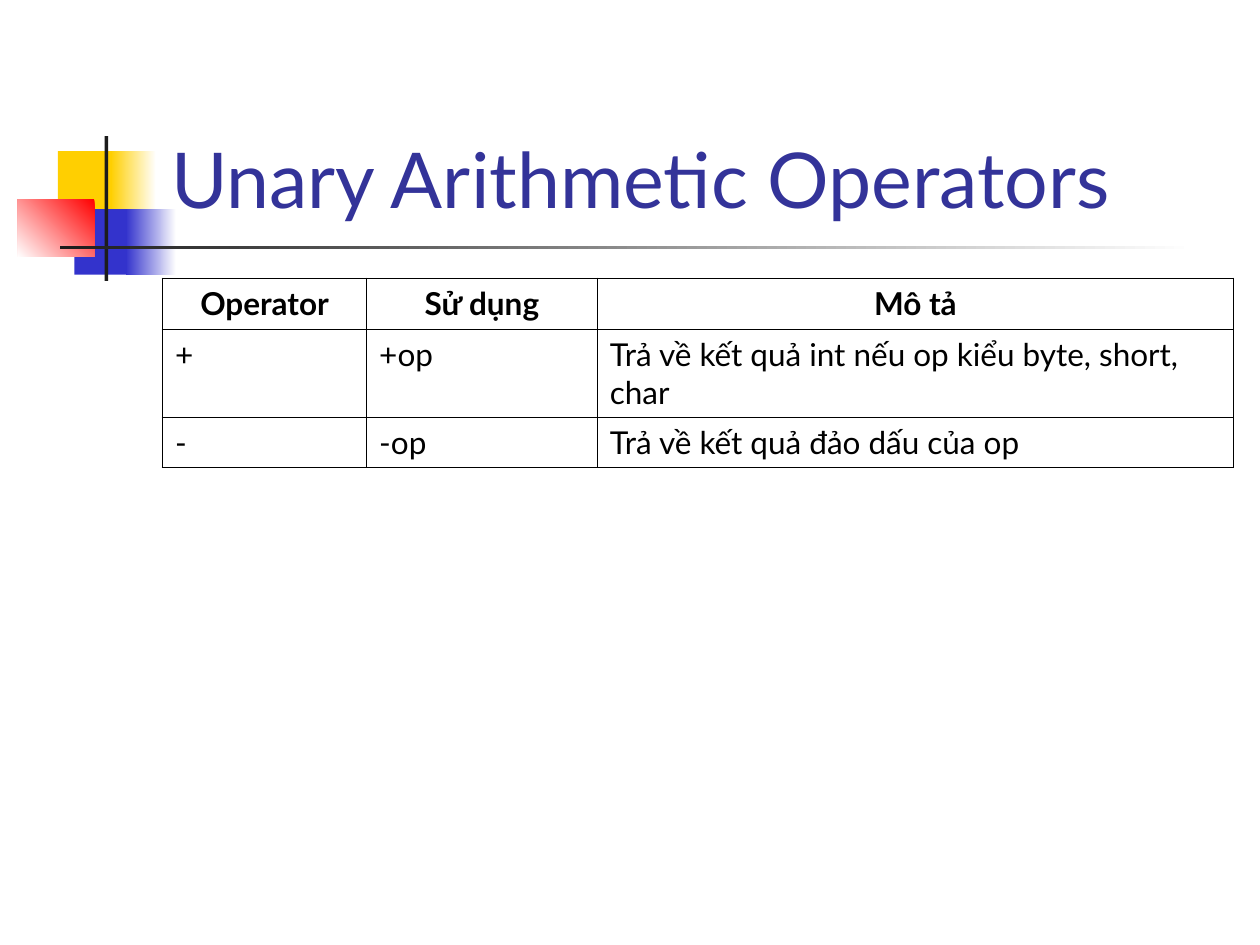
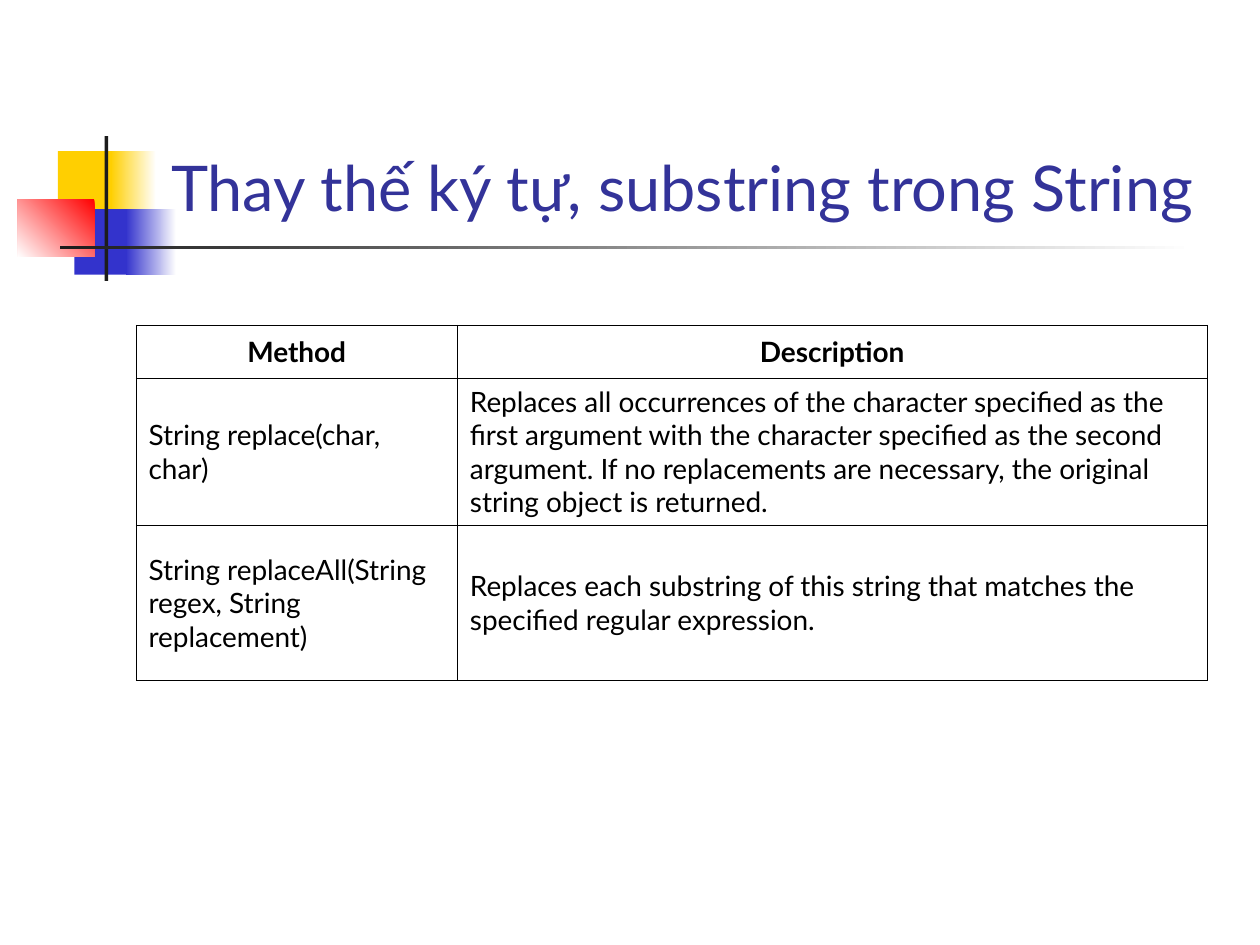
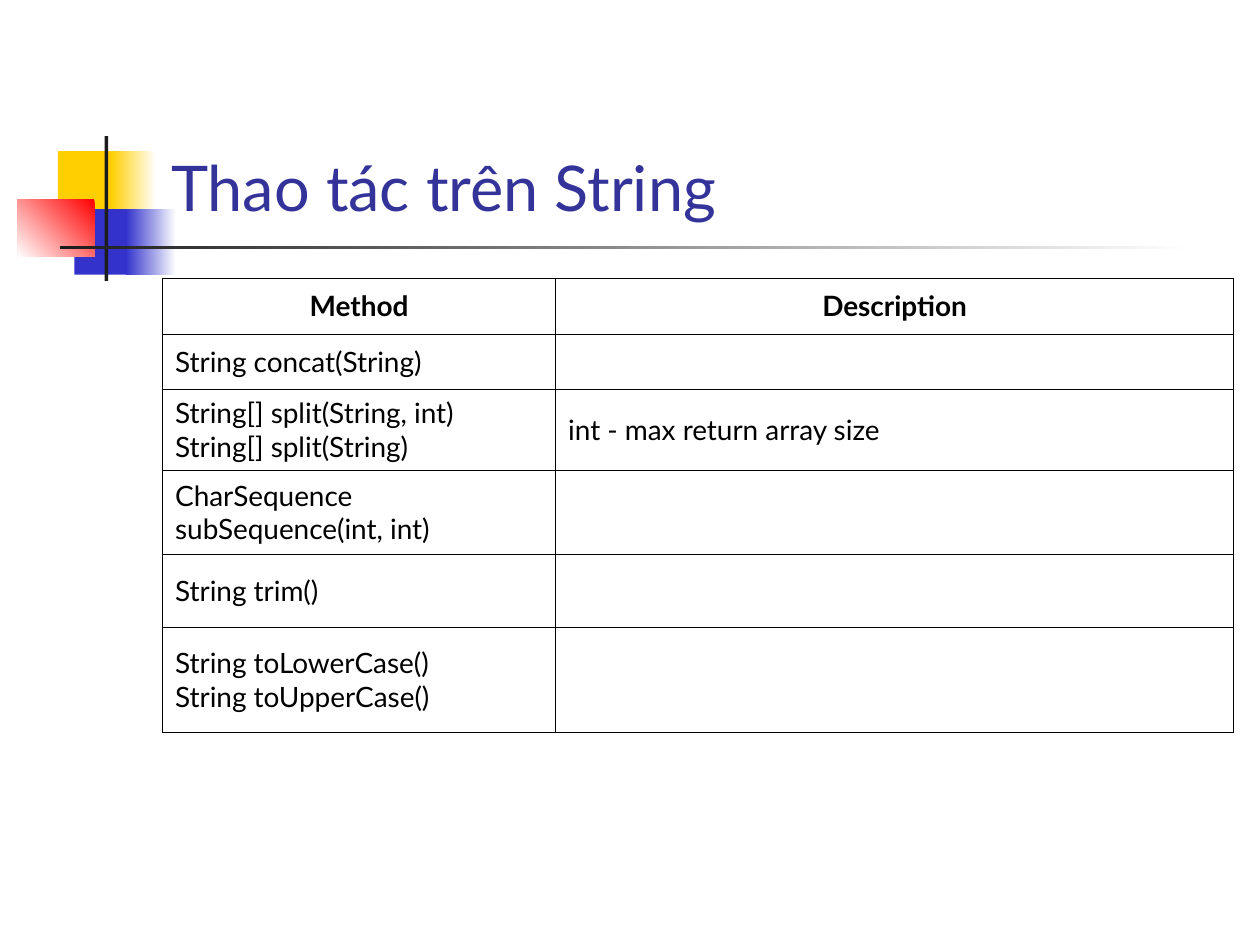
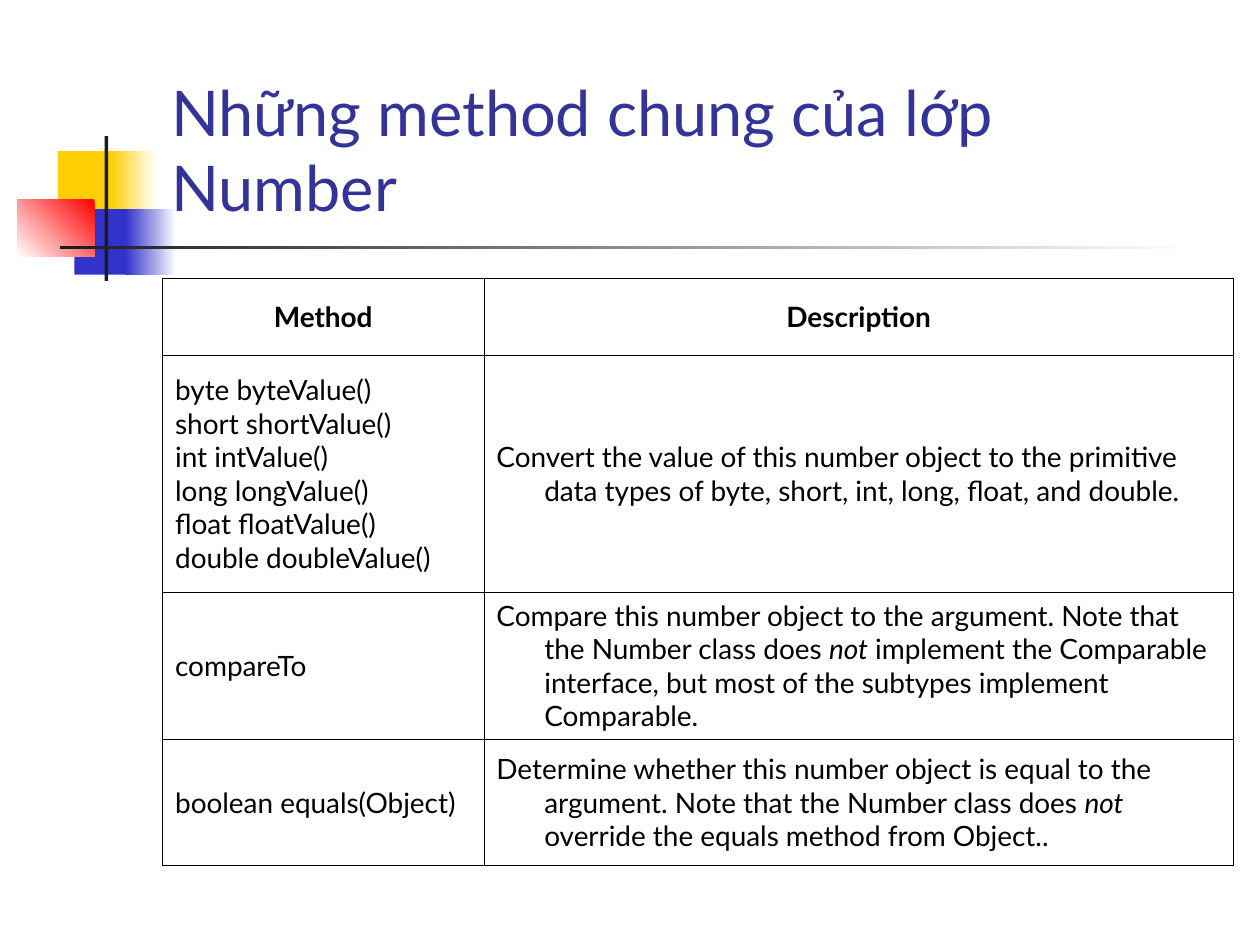
"""Build four slides of Java operator and method tables."""
from dataclasses import dataclass

from lxml.etree import SubElement
from pptx import Presentation
from pptx.dml.color import RGBColor
from pptx.enum.shapes import MSO_SHAPE
from pptx.enum.text import MSO_ANCHOR, PP_ALIGN
from pptx.oxml.ns import qn
from pptx.util import Inches, Pt


@dataclass(frozen=True)
class Theme:
    font: str = "Lato"
    title: str = "333399"
    text: str = "000000"
    white: str = "FFFFFF"
    yellow: str = "FFCF01"
    blue: str = "3333CC"
    red: str = "FF0000"
    dark: str = "1C1C1C"
    title_size: int = 36
    title_large: int = 44
    cell_size: int = 16
    cell_large: int = 18
    thin: float = 0.34
    medium: float = 0.45
    thick: float = 1.08


T = Theme()
TITLE_BOX = (1.26, 0.23, 8.52, 1.6)
HANGING = 0.38

BAND = [
    ((0.46, 1.2, 0.48, 0.52), (T.yellow,), 0),
    ((0.88, 1.2, 0.36, 0.52), (T.white, T.yellow), 180),
    ((0.59, 1.66, 0.46, 0.52), (T.blue,), 0),
    ((1, 1.66, 0.4, 0.52), (T.white, T.blue), 180),
    ((0.14, 1.58, 0.61, 0.46), (T.red, T.white), 225),
    ((0.83, 1.08, 0.03, 1.15), (T.dark,), 0),
    ((0.48, 1.95, 9, 0.03), (T.white, T.dark), 180),
]

SLIDES = [
    dict(
        title="Unary Arithmetic Operators", title_size=T.title_large,
        at=(1.29, 2.21), cols=(1.62, 1.83, 5.05), rows=(0.4, 0.7, 0.4),
        size=T.cell_large, anchor=MSO_ANCHOR.TOP, inner=T.medium, outer=T.thick,
        cells=[
            ("Operator", "Sử dụng", "Mô tả"),
            ("+", "+op", "Trả về kết quả int nếu op kiểu byte, short, char"),
            ("-", "-op", "Trả về kết quả đảo dấu của op"),
        ],
    ),
    dict(
        title="Thay thế ký tự, substring trong String",
        at=(1.08, 2.58), cols=(2.55, 5.95), rows=(0.42, 1.17, 1.23),
        cells=[
            ("Method", "Description"),
            ("String replace(char, char)",
             "Replaces all occurrences of the character specified as the first argument "
             "with the character specified as the second argument. If no replacements "
             "are necessary, the original string object is returned."),
            ("String replaceAll(String regex, String replacement)",
             "Replaces each substring of this string that matches the specified "
             "regular expression."),
        ],
    ),
    dict(
        title="Thao tác trên String",
        at=(1.29, 2.21), cols=(3.12, 5.38), rows=(0.44, 0.44, 0.64, 0.67, 0.58, 0.83),
        cells=[
            ("Method", "Description"),
            ("String concat(String)", ""),
            ("String[] split(String, int)\vString[] split(String)",
             "int - max return array size"),
            ("CharSequence subSequence(int, int)", ""),
            ("String trim()", ""),
            ("String toLowerCase()\vString toUpperCase()", ""),
        ],
    ),
    dict(
        title="Những method chung của lớp Number",
        at=(1.29, 2.21), cols=(2.55, 5.95), rows=(0.61, 1.88, 1.17, 1), hanging=HANGING,
        cells=[
            ("Method", "Description"),
            ("byte byteValue()\nshort shortValue()\nint intValue()\n"
             "long longValue()\nfloat floatValue()\ndouble doubleValue()",
             "Convert the value of this number object to the primitive data types of "
             "byte, short, int, long, float, and double."),
            ("compareTo",
             "Compare this number object to the argument. Note that the Number class "
             "does *not* implement the Comparable interface, but most of the subtypes "
             "implement Comparable."),
            ("boolean equals(Object)",
             "Determine whether this number object is equal to the argument. Note that "
             "the Number class does *not* override the equals method from Object.."),
        ],
    ),
]


def rgb(color):
    return RGBColor.from_string(color)


def set_font(p, size, color, bold=False):
    p.font.name = T.font
    p.font.size = Pt(size)
    p.font.bold = bold
    p.font.color.rgb = rgb(color)


def add_band(s):
    for box, colors, angle in BAND:
        sp = s.shapes.add_shape(MSO_SHAPE.RECTANGLE, *map(Inches, box))
        sp.shadow.inherit = False
        sp.line.fill.background()
        if len(colors) == 1:
            sp.fill.solid()
            sp.fill.fore_color.rgb = rgb(colors[0])
            continue
        sp.fill.gradient()
        sp.fill.gradient_angle = angle
        for stop, color in zip(sp.fill.gradient_stops, colors):
            stop.color.rgb = rgb(color)


def add_title(s, text, size):
    tf = s.shapes.add_textbox(*map(Inches, TITLE_BOX)).text_frame
    tf.word_wrap = True
    tf.vertical_anchor = MSO_ANCHOR.BOTTOM
    p = tf.paragraphs[0]
    p.text = text
    set_font(p, size, T.title)


def set_borders(cell, widths):
    tc_pr = cell._tc.get_or_add_tcPr()
    for side, width in zip("LRTB", widths):
        ln = SubElement(tc_pr, qn(f"a:ln{side}"), w=str(Pt(width)))
        fill = SubElement(ln, qn("a:solidFill"))
        SubElement(fill, qn("a:srgbClr"), val=T.text)


def add_runs(p, text):
    for i, part in enumerate(text.split("*")):
        for j, line in enumerate(part.split("\v")):
            if j:
                p.add_line_break()
            if line:
                r = p.add_run()
                r.text = line
                if i % 2:
                    r.font.italic = True


def fill_cell(cell, text, size, header, hanging):
    tf = cell.text_frame
    for i, line in enumerate(text.split("\n")):
        p = tf.add_paragraph() if i else tf.paragraphs[0]
        if header:
            p.alignment = PP_ALIGN.CENTER
        if hanging:
            p_pr = p._p.get_or_add_pPr()
            p_pr.set("marL", str(Inches(hanging)))
            p_pr.set("indent", str(-Inches(hanging)))
        add_runs(p, line)
        set_font(p, size, T.text, header)


def add_grid(s, at, cols, rows, cells, size=T.cell_size, anchor=MSO_ANCHOR.MIDDLE,
             inner=T.thin, outer=T.thin, hanging=0):
    box = (*at, sum(cols), sum(rows))
    table = s.shapes.add_table(len(rows), len(cols), *map(Inches, box)).table
    table.first_row = table.horz_banding = False
    for col, width in zip(table.columns, cols):
        col.width = Inches(width)
    for i, (height, texts) in enumerate(zip(rows, cells)):
        table.rows[i].height = Inches(height)
        for j, text in enumerate(texts):
            cell = table.cell(i, j)
            edges = (j == 0, j == len(cols) - 1, i == 0, i == len(rows) - 1)
            set_borders(cell, [outer if edge else inner for edge in edges])
            cell.fill.background()
            cell.vertical_anchor = anchor
            fill_cell(cell, text, size, i == 0, hanging)


def main():
    prs = Presentation()
    prs.slide_width, prs.slide_height = Inches(10), Inches(7.5)
    for content in SLIDES:
        s = prs.slides.add_slide(prs.slide_layouts[6])
        grid = dict(content)
        add_band(s)
        add_title(s, grid.pop("title"), grid.pop("title_size", T.title_size))
        add_grid(s, **grid)
    prs.save("out.pptx")


if __name__ == "__main__":
    main()
